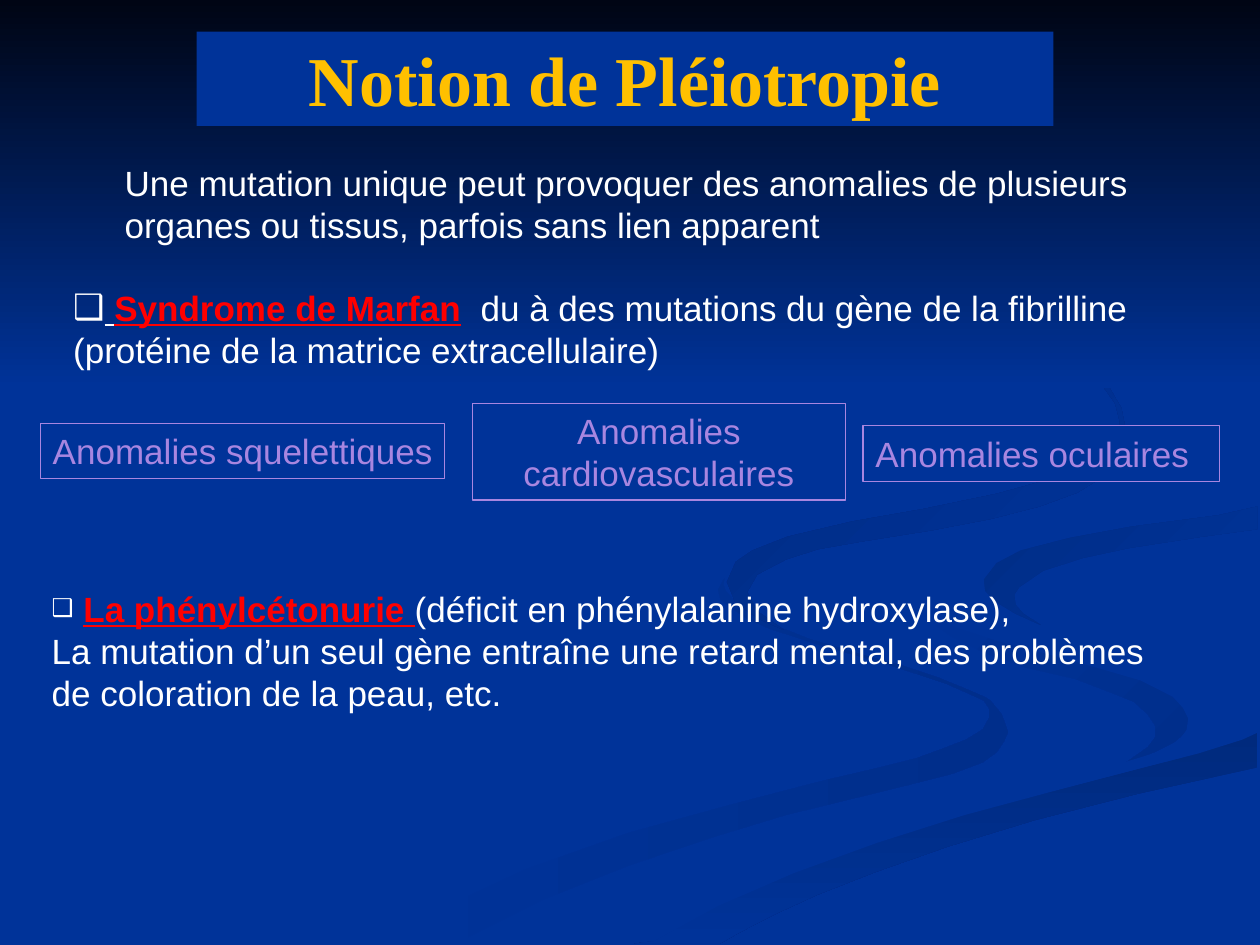
from dataclasses import dataclass

from lxml import etree
from pptx import Presentation
from pptx.dml.color import RGBColor
from pptx.enum.shapes import MSO_SHAPE
from pptx.enum.text import MSO_ANCHOR, MSO_AUTO_SIZE, PP_ALIGN
from pptx.oxml.ns import qn
from pptx.util import Pt

PX = 9144  # 100 px to the inch
RECT = MSO_SHAPE.RECTANGLE
LEFT, CENTER = PP_ALIGN.LEFT, PP_ALIGN.CENTER
TOP, MIDDLE = MSO_ANCHOR.TOP, MSO_ANCHOR.MIDDLE
FIXED = MSO_AUTO_SIZE.NONE


@dataclass(frozen=True)
class Theme:
    blue: str = "003399"
    night: str = "000514"
    white: str = "FFFFFF"
    red: str = "FF0000"
    gold: str = "FFC000"
    lilac: str = "A886E0"
    body: str = "Arial"
    serif: str = "Times New Roman"
    large: int = 40
    text: int = 20
    rule: float = 0.75


THEME = Theme()


def rgb(code):
    return RGBColor.from_string(code)


def write(para, text, color=THEME.white, size=THEME.text, face=THEME.body, bold=False, line=False):
    """Add one formatted run to a paragraph."""
    run = para.add_run()
    run.text = text
    font = run.font
    font.name, font.size, font.bold, font.underline = face, Pt(size), bold, line
    font.color.rgb = rgb(color)


def bullet(para, size, margin):
    """Set the left margin, and a square bullet if a size in percent is given."""
    props = para._p.get_or_add_pPr()
    props.set("marL", str(margin * PX))
    props.set("indent", "0")
    if not size:
        etree.SubElement(props, qn("a:buNone"))
        return
    tint = etree.SubElement(props, qn("a:buClr"))
    etree.SubElement(tint, qn("a:srgbClr"), val=THEME.white)
    etree.SubElement(props, qn("a:buSzPct"), val=str(size * 1000))
    etree.SubElement(props, qn("a:buChar"), char="❑")


class Deck:
    def __init__(self, theme):
        self.theme = theme
        self.show = Presentation()
        self.show.slide_width, self.show.slide_height = 1000 * PX, 750 * PX
        self.slide = self.show.slides.add_slide(self.show.slide_layouts[3])
        self.shapes = self.slide.shapes
        back = self.slide.background.fill
        back.solid()
        back.fore_color.rgb = rgb(theme.blue)

    def paint(self, shape, first, last=None, angle=0):
        """Fill with one colour, or with two along a clockwise angle."""
        if last:
            shape.fill.gradient()
            shape.fill.gradient_angle = (360 - angle) % 360
            for stop, code in zip(shape.fill.gradient_stops, (first, last)):
                stop.color.rgb = rgb(code)
        else:
            shape.fill.solid()
            shape.fill.fore_color.rgb = rgb(first)

    def swirl(self, points, *fill):
        pen = self.shapes.build_freeform(*points[0], scale=PX)
        pen.add_line_segments(points[1:], close=True)
        shape = pen.convert_to_shape()
        shape.shadow.inherit = False
        shape.line.fill.background()
        self.paint(shape, *fill)

    def rect(self, box, *fill):
        shape = self.shapes.add_shape(RECT, *(n * PX for n in box))
        shape.shadow.inherit = False
        shape.line.fill.background()
        self.paint(shape, *fill)
        return shape

    def label(self, box, text, align=LEFT, wrap=True):
        shape = self.rect(box, self.theme.blue)
        shape.line.color.rgb = rgb(self.theme.lilac)
        shape.line.width = Pt(self.theme.rule)
        frame = shape.text_frame
        frame.word_wrap, frame.vertical_anchor = wrap, TOP
        frame.paragraphs[0].alignment = align
        write(frame.paragraphs[0], text, color=self.theme.lilac)

    def place(self, index, box, anchor):
        """Move a placeholder to its box and bring it to the front."""
        shape = self.slide.placeholders[index]
        shape.left, shape.top, shape.width, shape.height = (n * PX for n in box)
        node = shape._element
        node.getparent().append(node)
        frame = shape.text_frame
        frame.auto_size, frame.word_wrap, frame.vertical_anchor = FIXED, True, anchor
        return shape

    def title(self, box, text):
        shape = self.place(0, box, MIDDLE)
        self.paint(shape, self.theme.blue)
        para = shape.text_frame.paragraphs[0]
        para.alignment = CENTER
        write(para, text, color=self.theme.gold, size=self.theme.large, face=self.theme.serif, bold=True)

    def fill_text(self, frame, rows, mark=0, margin=0):
        """Write rows of runs; only the first row carries the bullet."""
        for i, row in enumerate(rows):
            para = frame.add_paragraph() if i else frame.paragraphs[0]
            bullet(para, 0 if i else mark, margin)
            para.alignment, para.space_before = LEFT, Pt(0)
            for text, style in row:
                write(para, text, **style)

    def list(self, index, box, rows, mark, margin=0):
        self.fill_text(self.place(index, box, TOP).text_frame, rows, mark, margin)

    def note(self, box, text, margin):
        frame = self.shapes.add_textbox(*(n * PX for n in box)).text_frame
        frame.word_wrap = True
        self.fill_text(frame, [[(text, {})]], margin=margin)


# Outlines of the background ribbons
LOOP = [
    (781, 553), (767, 547), (745, 538), (715, 528), (682, 519), (642, 507), (614, 496), (594, 485), (583, 477),
    (576, 469), (574, 464), (575, 459), (570, 468), (572, 476), (581, 483), (593, 491), (611, 499), (654, 513),
    (697, 525), (728, 535), (752, 543), (770, 551), (781, 556), (785, 562), (785, 570), (780, 579), (767, 587),
    (749, 594), (727, 602), (699, 609), (652, 620), (579, 639), (499, 661), (417, 690), (338, 727), (300, 749),
    (361, 749), (431, 714), (499, 687), (564, 665), (623, 647), (676, 634), (721, 623), (756, 614), (780, 605),
    (791, 597), (797, 588), (800, 581), (795, 567), (786, 556)]
HOOK = [
    (943, 570), (939, 562), (930, 553), (905, 540), (870, 530), (830, 519), (792, 509), (758, 498), (733, 483),
    (727, 474), (724, 464), (725, 474), (730, 483), (739, 494), (755, 505), (781, 518), (815, 530), (854, 539),
    (880, 549), (900, 557), (911, 567), (917, 576), (917, 585), (911, 593), (894, 605), (916, 597), (932, 589),
    (941, 581)]
TAIL = [
    (503, 749), (571, 749), (587, 740), (614, 726), (649, 710), (695, 692), (752, 672), (821, 651), (903, 630),
    (998, 609), (998, 581), (976, 590), (936, 602), (867, 620), (797, 638), (764, 647), (696, 669), (630, 693),
    (569, 719), (519, 747)]
BAND = [
    (725, 464), (728, 474), (734, 483), (759, 498), (793, 509), (831, 519), (871, 530), (905, 540), (931, 553),
    (939, 562), (943, 570), (942, 579), (936, 587), (919, 597), (892, 605), (843, 618), (780, 634), (704, 655),
    (619, 684), (526, 724), (477, 749), (519, 747), (570, 719), (630, 693), (696, 669), (765, 647), (832, 629),
    (904, 610), (951, 598), (986, 587), (999, 581), (999, 538), (959, 531), (904, 519), (848, 503), (804, 485),
    (786, 473), (781, 463), (786, 453), (800, 442), (835, 430), (899, 418), (968, 409), (999, 402), (999, 387),
    (942, 399), (874, 408), (808, 417), (770, 427), (742, 439), (730, 449)]
EDGE = [
    (781, 460), (782, 469), (791, 478), (806, 487), (826, 496), (812, 487), (806, 480), (805, 472), (809, 466),
    (828, 453), (859, 443), (896, 435), (954, 426), (998, 420), (998, 402), (967, 409), (898, 418), (849, 427),
    (810, 437), (791, 447)]
CREST = [
    (683, 430), (739, 421), (786, 412), (825, 402), (855, 391), (876, 378), (889, 362), (894, 344), (890, 324),
    (880, 307), (864, 291), (843, 275), (810, 256), (780, 241), (762, 233), (805, 254), (846, 279), (870, 299),
    (885, 320), (889, 335), (886, 348), (876, 360), (861, 370), (842, 378), (791, 392), (733, 404), (676, 414),
    (625, 426), (597, 437), (584, 446), (577, 462), (584, 479), (604, 492), (622, 500), (601, 485), (593, 470),
    (601, 456), (624, 444), (649, 436)]


def main():
    deck = Deck(THEME)
    blue = THEME.blue

    # Background
    deck.swirl(LOOP, blue, "002E8B", 0)
    deck.swirl(HOOK, blue, "002E8B", 45)
    deck.swirl(TAIL, "002A7D", blue, 90)
    deck.swirl(BAND, blue)
    deck.swirl(EDGE, "002D86", blue, 45)
    deck.swirl(CREST, "002B82", blue, 45)
    deck.rect((0, 0, 1000, 308), THEME.night, blue, 90)

    # Title and definition
    deck.title((156, 25, 680, 75), "Notion de Pléiotropie")
    deck.note((39, 123, 942, 77), "Une mutation unique peut provoquer des anomalies de plusieurs "
              "organes ou tissus, parfois sans lien apparent", margin=50)

    # First example and its effects
    key = {"color": THEME.red, "bold": True, "line": True}
    deck.list(1, (39, 222, 942, 77), [
        [(" ", {"line": True}), ("Syndrome de Marfan", key),
         ("  du à des mutations du gène de la fibrilline", {})],
        [("(protéine de la matrice extracellulaire)", {})]], mark=100, margin=9)
    deck.label((375, 320, 296, 77), "Anomalies cardiovasculaires", align=CENTER)
    deck.label((685, 338, 283, 44), "Anomalies oculaires")
    deck.label((32, 336, 321, 44), "Anomalies squelettiques", wrap=False)

    # Second example
    deck.list(2, (31, 461, 906, 144), [
        [(" ", {}), ("La phénylcétonurie ", key), ("(déficit en phénylalanine hydroxylase),", {})],
        [("La mutation d’un seul gène entraîne une retard mental, des problèmes "
          "de coloration de la peau, etc.", {})]], mark=70)

    deck.show.save("out.pptx")


if __name__ == "__main__":
    main()
